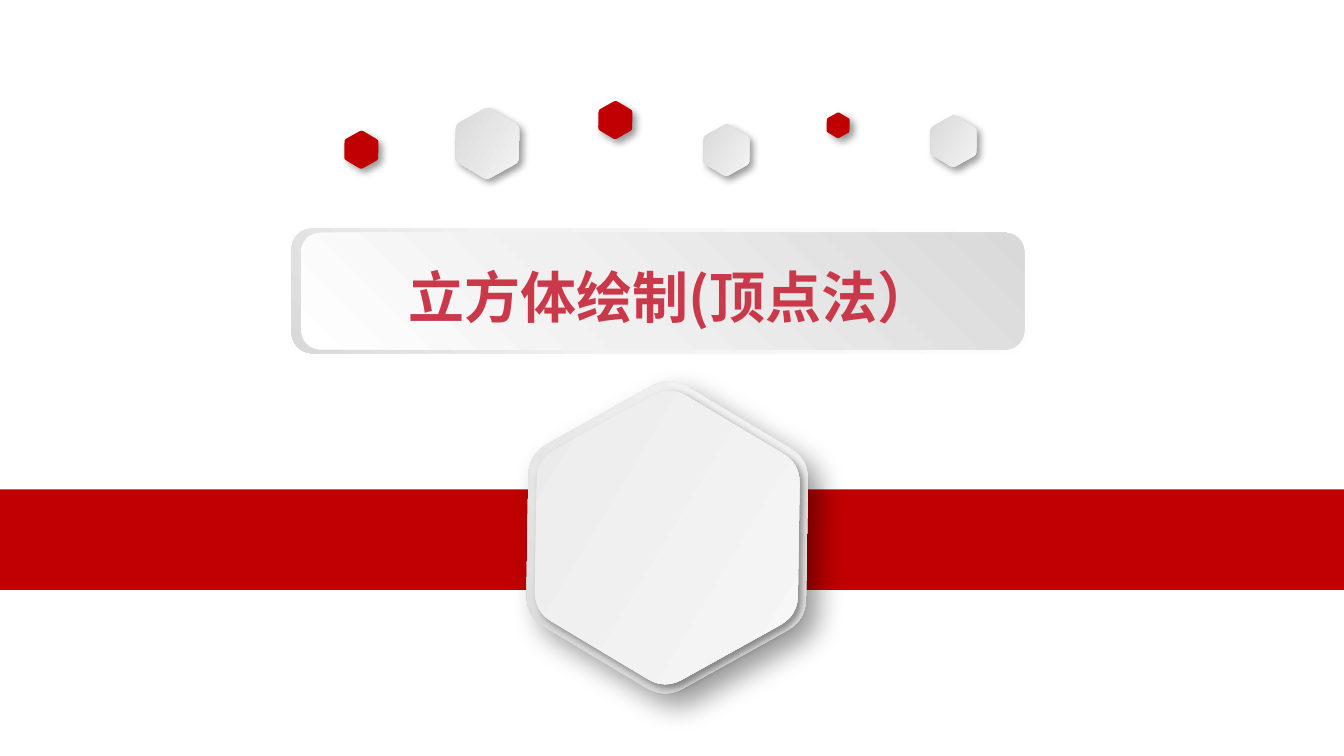
from dataclasses import dataclass
from math import cos, pi, sin

from lxml import etree
from pptx import Presentation
from pptx.dml.color import RGBColor
from pptx.enum.shapes import MSO_SHAPE
from pptx.enum.text import PP_ALIGN
from pptx.oxml.ns import qn
from pptx.util import Cm, Pt

RECTANGLE = MSO_SHAPE.RECTANGLE
ROUNDED = MSO_SHAPE.ROUNDED_RECTANGLE
CENTER = PP_ALIGN.CENTER


@dataclass(frozen=True)
class Theme:
    red: str = "C00000"
    title_color: str = "C9394A"
    silver: tuple = ((0, "D3D3D3"), (100, "F9F9F9"))
    pale: tuple = ((0, "E9E9E9"), (100, "F9F9F9"))
    frame: tuple = ((0, "FFFFFF"), (62, "F2F2F2"), (100, "D9D9D9"))
    panel: tuple = ((0, "FFFFFF"), (42, "F0F0F0"), (100, "D9D9D9"))
    font: str = "Noto Sans CJK SC"
    title_size: int = 30


def add_element(parent, tag, **attributes):
    values = {name: str(value) for name, value in attributes.items()}
    return etree.SubElement(parent, qn(tag), values)


def rounded_hexagon(center_x, center_y, radius, cut=0.13, steps=6):
    """Outline points with each corner replaced by a quadratic curve."""
    corners = [(center_x + radius * cos(k * pi / 3),
                center_y + radius * sin(k * pi / 3)) for k in range(6)]
    points = []
    for k, corner in enumerate(corners):
        before, after = corners[k - 1], corners[(k + 1) % 6]
        for step in range(steps + 1):
            t = step / steps
            points.append(tuple(
                c + cut * ((1 - t) ** 2 * (b - c) + t ** 2 * (a - c))
                for b, c, a in zip(before, corner, after)))
    return points


class SlidePainter:
    def __init__(self, slide, theme):
        self.slide = slide
        self.theme = theme

    def paint(self, shape, fill, angle=0):
        """Fill with one colour, or with (position, colour) stops at a clockwise angle."""
        shape.shadow.inherit = False
        shape.line.fill.background()
        if isinstance(fill, str):
            shape.fill.solid()
            shape.fill.fore_color.rgb = RGBColor.from_string(fill)
            return
        shape.fill.gradient()
        gradient = shape._element.spPr.find(qn("a:gradFill"))
        for child in list(gradient):
            gradient.remove(child)
        gradient.set("rotWithShape", "1")
        stops = add_element(gradient, "a:gsLst")
        for position, color in fill:
            stop = add_element(stops, "a:gs", pos=position * 1000)
            add_element(stop, "a:srgbClr", val=color)
        add_element(gradient, "a:lin", ang=angle * 60000, scaled=0)

    def cast_shadow(self, shape, blur, distance):
        effects = shape._element.spPr.find(qn("a:effectLst"))
        shadow = add_element(effects, "a:outerShdw", blurRad=Pt(blur), dist=Pt(distance),
                             dir=45 * 60000, algn="tl", rotWithShape=0)
        color = add_element(shadow, "a:srgbClr", val="000000")
        add_element(color, "a:alpha", val=40000)

    def block(self, kind, left, top, width, height, fill, angle=0):
        shape = self.slide.shapes.add_shape(
            kind, Cm(left), Cm(top), Cm(width), Cm(height))
        self.paint(shape, fill, angle)

    def hexagon(self, center_x, center_y, radius, fill, angle=0, blur=4, distance=3):
        points = rounded_hexagon(Cm(center_x), Cm(center_y), Cm(radius))
        builder = self.slide.shapes.build_freeform(*points[0])
        builder.add_line_segments(points[1:], close=True)
        shape = builder.convert_to_shape()
        shape.rotation = 30.9
        self.paint(shape, fill, angle)
        self.cast_shadow(shape, blur, distance)

    def title(self, text, left, top, width, height):
        box = self.slide.shapes.add_textbox(Cm(left), Cm(top), Cm(width), Cm(height))
        box.text_frame.word_wrap = True
        para = box.text_frame.paragraphs[0]
        para.text = text
        para.alignment = CENTER
        font = para.font
        font.size = Pt(self.theme.title_size)
        font.bold = True
        font.color.rgb = RGBColor.from_string(self.theme.title_color)
        font.name = self.theme.font
        add_element(font._element, "a:ea", typeface=self.theme.font)


def main():
    theme = Theme()
    deck = Presentation()
    deck.slide_width, deck.slide_height = Cm(25.4), Cm(14.29)
    painter = SlidePainter(deck.slides.add_slide(deck.slide_layouts[6]), theme)

    painter.block(RECTANGLE, 0, 9.25, 25.4, 1.9, theme.red)

    small_hexagons = [
        (9.21, 2.71, 0.69, theme.silver),
        (11.63, 2.27, 0.37, theme.red),
        (6.83, 2.83, 0.37, theme.red),
        (13.73, 2.84, 0.5, theme.silver),
        (15.84, 2.37, 0.25, theme.red),
        (18.02, 2.67, 0.5, theme.silver),
    ]
    for center_x, center_y, radius, fill in small_hexagons:
        painter.hexagon(center_x, center_y, radius, fill)

    painter.hexagon(12.61, 10.16, 3.05, theme.silver, angle=270, blur=15, distance=9)
    painter.hexagon(12.61, 10.16, 2.87, theme.pale)

    painter.block(ROUNDED, 5.51, 4.32, 13.92, 2.36, theme.frame, angle=135)
    painter.block(ROUNDED, 5.69, 4.4, 13.67, 2.21, theme.panel, angle=315)
    painter.title("立方体绘制(顶点法）", 5.72, 4.83, 13.92, 1.52)

    deck.save("out.pptx")


if __name__ == "__main__":
    main()
